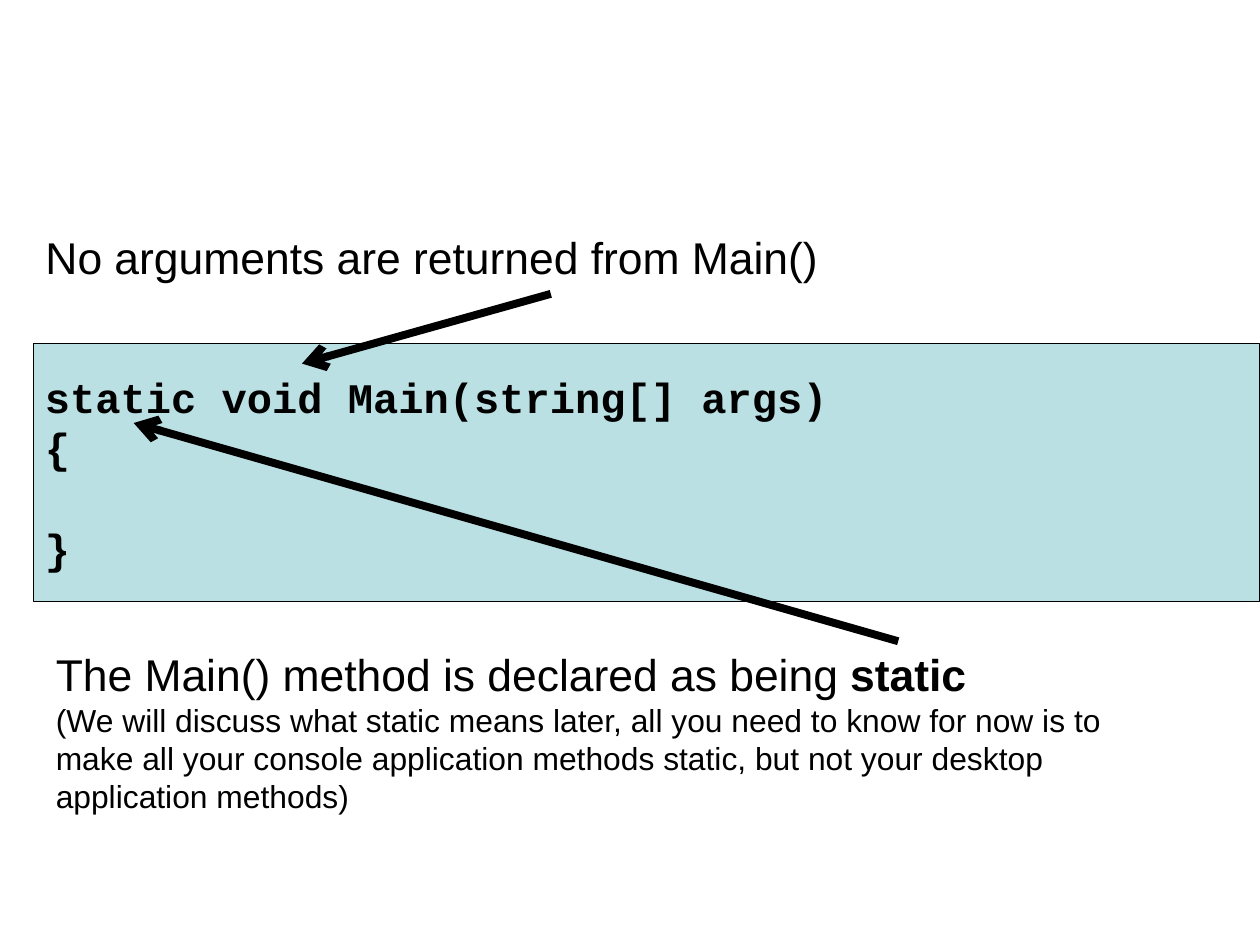
from dataclasses import dataclass

from lxml import etree
from pptx import Presentation
from pptx.dml.color import RGBColor
from pptx.enum import shapes, text
from pptx.oxml import ns
from pptx.shapes.base import BaseShape
from pptx.slide import Slide
from pptx.text.text import TextFrame, _Paragraph
from pptx.util import Cm, Pt


@dataclass(frozen=True)
class Theme:
    ink: RGBColor = RGBColor(0x00, 0x00, 0x00)
    panel: RGBColor = RGBColor(0xBB, 0xE0, 0xE3)
    text_font: str = "Arial"
    code_font: str = "Courier New"
    heading_size: float = 28
    note_size: float = 20
    code_size: float = 26.5
    code_pitch: float = 31.8
    note_pitch: float = 24
    border: float = 0.75
    arrow: float = 5


@dataclass(frozen=True)
class Arrow:
    start: tuple[float, float]
    end: tuple[float, float]


THEME = Theme()
ARROWS = [
    Arrow(start=(12.24, 6.53), end=(6.71, 8.08)),
    Arrow(start=(19.96, 14.25), end=(2.97, 9.4)),
]


def place(shape: BaseShape, left: float, top: float, width: float, height: float) -> None:
    shape.left, shape.top = Cm(left), Cm(top)
    shape.width, shape.height = Cm(width), Cm(height)


def prepare(frame: TextFrame, top_margin: float = 0.13) -> None:
    frame.word_wrap = True
    frame.auto_size = text.MSO_AUTO_SIZE.NONE
    frame.vertical_anchor = text.MSO_ANCHOR.TOP
    frame.margin_left = frame.margin_right = Cm(0.25)
    frame.margin_top, frame.margin_bottom = Cm(top_margin), Cm(0.13)


def style(para: _Paragraph, size: float, font: str = THEME.text_font, bold: bool = False) -> None:
    para.alignment = text.PP_ALIGN.LEFT
    para.font.name = font
    para.font.size = Pt(size)
    para.font.bold = bold
    para.font.color.rgb = THEME.ink


def add_code_panel(page: Slide) -> None:
    panel = page.shapes.add_shape(
        shapes.MSO_SHAPE.RECTANGLE, Cm(0.75), Cm(7.63), Cm(27.24), Cm(5.73))
    panel.shadow.inherit = False
    panel.fill.solid()
    panel.fill.fore_color.rgb = THEME.panel
    panel.line.color.rgb = THEME.ink
    panel.line.width = Pt(THEME.border)
    prepare(panel.text_frame, top_margin=0.62)
    panel.text_frame.text = "static void Main(string[] args)\n{\n}"
    for para in panel.text_frame.paragraphs:
        style(para, THEME.code_size, THEME.code_font, bold=True)
        para.line_spacing = Pt(THEME.code_pitch)
    # One empty code line between the braces
    panel.text_frame.paragraphs[-1].space_before = Pt(THEME.code_pitch)


def add_heading(page: Slide) -> None:
    title = page.shapes.title
    place(title, 0.76, 4.98, 25.12, 2.6)
    prepare(title.text_frame)
    title.text_frame.text = "No arguments are returned from Main()"
    style(title.text_frame.paragraphs[0], THEME.heading_size)


def add_explanation(page: Slide) -> None:
    box = page.shapes.add_textbox(Cm(0.99), Cm(14.25), Cm(25.12), Cm(4.39))
    prepare(box.text_frame)
    statement = box.text_frame.paragraphs[0]
    style(statement, THEME.heading_size)
    statement.add_run().text = "The Main() method is declared as being "
    keyword = statement.add_run()
    keyword.text = "static"
    keyword.font.bold = True

    note = box.text_frame.add_paragraph()
    note.text = (
        "(We will discuss what static means later, all you need to know for now is to "
        "make all your console application methods static, but not your desktop "
        "application methods)")
    style(note, THEME.note_size)
    note.line_spacing = Pt(THEME.note_pitch)


def add_arrow(page: Slide, arrow: Arrow) -> None:
    line = page.shapes.add_connector(
        shapes.MSO_CONNECTOR.STRAIGHT, *map(Cm, arrow.start + arrow.end))
    line.line.color.rgb = THEME.ink
    line.line.width = Pt(THEME.arrow)
    etree.SubElement(line.line._get_or_add_ln(), ns.qn("a:tailEnd"), type="arrow")
    etree.SubElement(line._element.spPr, ns.qn("a:effectLst"))


def main() -> None:
    deck = Presentation()
    deck.slide_width, deck.slide_height = Cm(28), Cm(21)
    title_only = deck.slide_layouts[5]
    page = deck.slides.add_slide(title_only)
    add_code_panel(page)
    add_heading(page)
    add_explanation(page)
    for arrow in ARROWS:
        add_arrow(page, arrow)
    deck.save("out.pptx")


if __name__ == "__main__":
    main()
